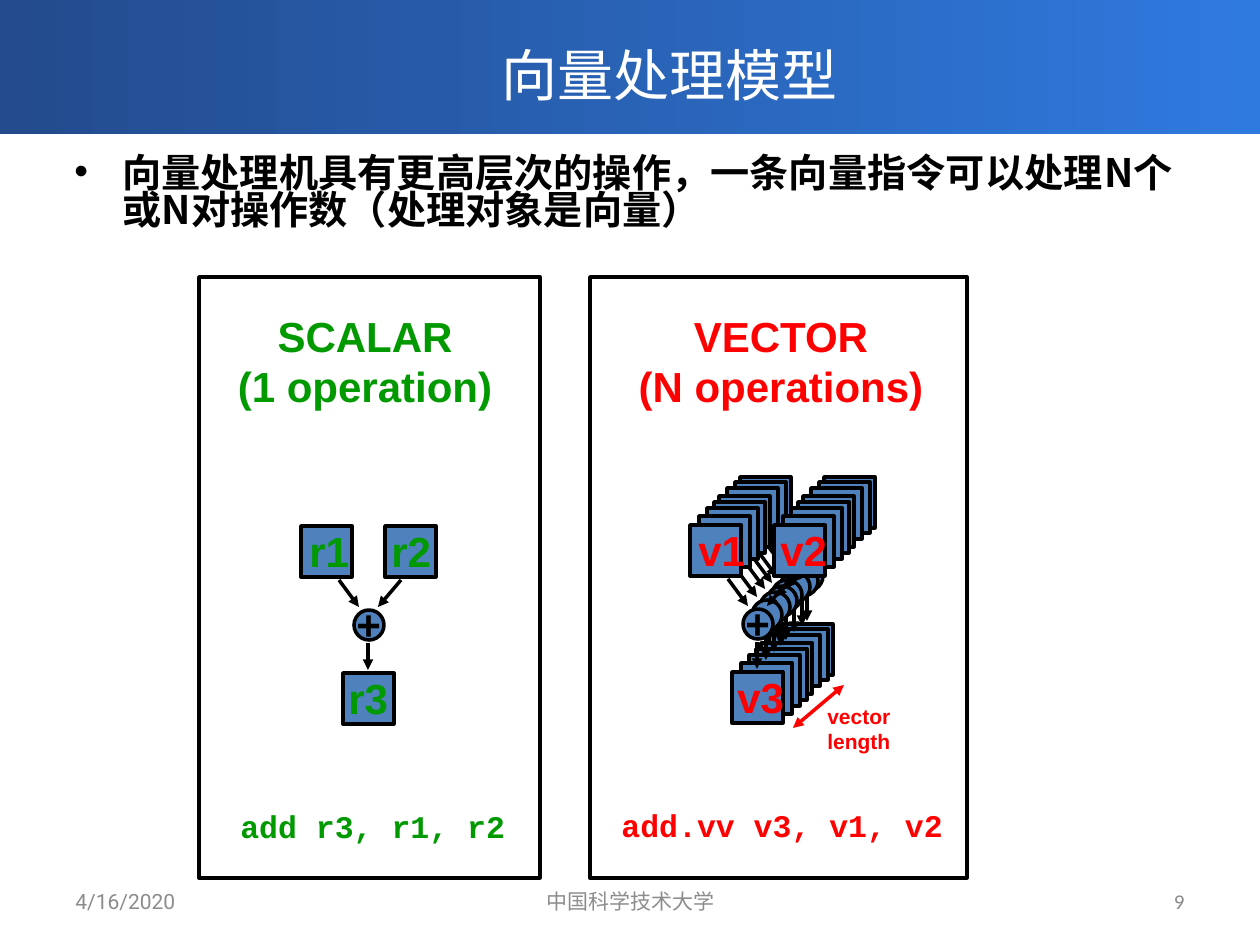
"""Build a slide comparing scalar and vector processing."""
from lxml import etree
from pptx import Presentation
from pptx.dml.color import RGBColor
from pptx.enum.shapes import MSO_CONNECTOR, MSO_SHAPE
from pptx.enum.text import MSO_ANCHOR, PP_ALIGN
from pptx.oxml.ns import qn
from pptx.util import Emu, Pt

LEFT, CENTER, RIGHT = PP_ALIGN.LEFT, PP_ALIGN.CENTER, PP_ALIGN.RIGHT
TOP, MIDDLE = MSO_ANCHOR.TOP, MSO_ANCHOR.MIDDLE
RECT, OVAL = MSO_SHAPE.RECTANGLE, MSO_SHAPE.OVAL
STRAIGHT = MSO_CONNECTOR.STRAIGHT
CJK = "Noto Sans CJK SC"
COLORS = {
    "navy": "234B8D", "sky": "2F7ADF", "steel": "4F81BD", "black": "000000",
    "white": "FFFFFF", "gray": "8C8C8C", "number": "898989",
    "green": "009900", "red": "FF0000",
}

TITLE = "向量处理模型"
BULLET = "向量处理机具有更高层次的操作，一条向量指令可以处理N个或N对操作数（处理对象是向量）"
FOOTERS = [
    ("4/16/2020", (63, 876, 294, 50), "Roboto", "gray", LEFT),
    ("中国科学技术大学", (431, 876, 399, 50), "Roboto", "gray", CENTER),
    ("9", (903, 876, 294, 50), "Calibri", "number", RIGHT),
]
PANELS = [
    {
        "frame": (199, 277, 341, 601), "color": "green",
        "heading": ["SCALAR", "(1 operation)"], "heading_box": (224, 304, 282, 115),
        "code": "add r3, r1, r2", "code_box": (228, 801, 291, 50),
        "registers": ["r1", "r2", "r3"], "label_width": 66,
        "adders": [(354, 610)],
    },
    {
        "frame": (590, 277, 377, 601), "color": "red",
        "heading": ["VECTOR", "(N operations)"], "heading_box": (625, 304, 312, 115),
        "code": "add.vv v3, v1, v2", "code_box": (609, 800, 348, 50),
        "registers": ["v1", "v2", "v3"], "label_width": 72,
        "adders": [(793, 561), (788, 566), (780, 572), (772, 580),
                   (767, 586), (760, 592), (752, 600), (743, 609)],
    },
]
ADDER_SIZE, REGISTER_SIZE = 30, 51
REGISTER_OFFSETS = [(-53, -84), (31, -84), (-11, 63)]
LABEL_OFFSETS = [(-57, -91), (25, -91), (-18, 56)]
ARROW_OFFSETS = [(-15, -30, 5, -3), (47, -30, 24, -3), (14, 33, 14, 60)]
PLUS_OFFSET = (-10, -18)
LENGTH_ARROW = (844, 685, 793, 728)
LENGTH_LABEL = (["vector", "length"], (815, 697, 88, 63))


def px(value):
    return Emu(round(value * 914400 / 126))


def rgb(name):
    return RGBColor.from_string(COLORS[name])


def add_text(page, lines, place, size, font, color, bold=False,
             align=LEFT, anchor=TOP, wrap=False):
    box = page.shapes.add_textbox(*map(px, place))
    frame = box.text_frame
    frame.word_wrap = wrap
    frame.vertical_anchor = anchor
    frame.text = "\n".join(lines)
    for para in frame.paragraphs:
        para.alignment = align
        para.font.size = Pt(size)
        para.font.name = font
        para.font.bold = bold
        para.font.color.rgb = rgb(color)
        latin = para._p.pPr.find(qn("a:defRPr")).find(qn("a:latin"))
        east_asian = etree.Element(qn("a:ea"), typeface=font)
        latin.addnext(east_asian)
    return box


def add_outlined(page, kind, place, fill=None):
    shape = page.shapes.add_shape(kind, *map(px, place))
    shape.shadow.inherit = False
    if fill:
        shape.fill.solid()
        shape.fill.fore_color.rgb = rgb(fill)
    else:
        shape.fill.background()
    shape.line.color.rgb = rgb("black")
    shape.line.width = Pt(2)


def add_arrow(page, ends, color="black", both=False):
    arrow = page.shapes.add_connector(STRAIGHT, *map(px, ends))
    arrow.line.color.rgb = rgb(color)
    arrow.line.width = Pt(2)
    line = arrow.line._get_or_add_ln()
    for tag in ["a:headEnd", "a:tailEnd"] if both else ["a:tailEnd"]:
        etree.SubElement(line, qn(tag), type="triangle")
    etree.SubElement(arrow._element.spPr, qn("a:effectLst"))


def add_header(page):
    band = page.shapes.add_shape(RECT, 0, 0, px(1260), px(134))
    band.shadow.inherit = False
    band.line.fill.background()
    band.fill.gradient()
    band.fill.gradient_angle = 0
    for stop, name, position in zip(band.fill.gradient_stops, ["navy", "sky"], [0, 1]):
        stop.color.rgb = rgb(name)
        stop.position = position
    add_text(page, [TITLE], (142, 20, 1055, 108), 32, CJK, "white",
             align=CENTER, anchor=MIDDLE, wrap=True)


def add_bullet(page):
    box = add_text(page, [BULLET], (62, 151, 1134, 107), 22.4, CJK, "black",
                   bold=True, wrap=True)
    para = box.text_frame.paragraphs[0]
    para.line_spacing = 0.8
    para.space_before = Pt(3)
    properties = para._p.pPr
    properties.set("marL", str(px(48)))
    properties.set("indent", str(px(-48)))
    marker = etree.Element(qn("a:buChar"), char="•")
    properties.find(qn("a:defRPr")).addprevious(marker)
    marker.addprevious(etree.Element(qn("a:buFont"), typeface="Arial"))


def add_panel(page, panel):
    color = panel["color"]
    add_outlined(page, RECT, panel["frame"])
    add_text(page, panel["heading"], panel["heading_box"], 24, "Arial", color, True, CENTER)
    add_text(page, [panel["code"]], panel["code_box"], 18, "Courier New", color, True)
    front = len(panel["adders"]) - 1
    for layer, (x, y) in enumerate(panel["adders"]):
        add_outlined(page, OVAL, (x, y, ADDER_SIZE, ADDER_SIZE), "steel")
        for dx, dy in REGISTER_OFFSETS:
            add_outlined(page, RECT, (x + dx, y + dy, REGISTER_SIZE, REGISTER_SIZE), "steel")
        if layer == front:
            for name, (dx, dy) in zip(panel["registers"], LABEL_OFFSETS):
                place = (x + dx, y + dy, panel["label_width"], 63)
                add_text(page, [name], place, 24, "Arial", color, True)
            plus_x, plus_y = PLUS_OFFSET
            add_text(page, ["+"], (x + plus_x, y + plus_y, 50, 63), 24, "Arial", "black", True)
        hidden = 1 if layer < front and layer == 0 else 0
        for x1, y1, x2, y2 in ARROW_OFFSETS[hidden:]:
            add_arrow(page, (x + x1, y + y1, x + x2, y + y2))


def main():
    deck = Presentation()
    deck.slide_width, deck.slide_height = px(1260), px(945)
    page = deck.slides.add_slide(deck.slide_layouts[6])
    add_header(page)
    add_bullet(page)
    for text, place, font, color, align in FOOTERS:
        add_text(page, [text], place, 12, font, color, align=align, anchor=MIDDLE, wrap=True)
    for panel in PANELS:
        add_panel(page, panel)
    add_arrow(page, LENGTH_ARROW, "red", both=True)
    lines, place = LENGTH_LABEL
    add_text(page, lines, place, 12, "Arial", "red", True, wrap=True)
    deck.save("out.pptx")


if __name__ == "__main__":
    main()
